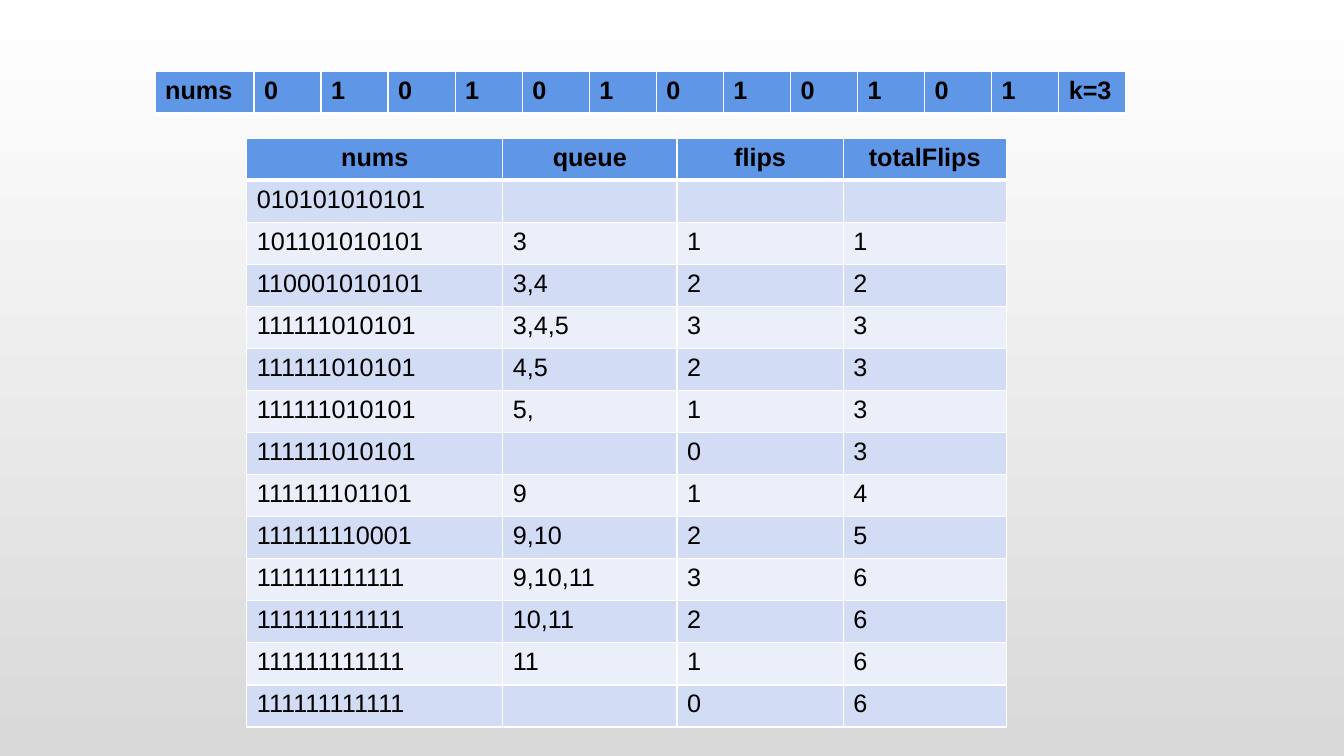
import pptx
import pptx.dml.color
import pptx.enum.text
import pptx.oxml
import pptx.oxml.ns
import pptx.util

Cm = pptx.util.Cm
ROW_HEIGHT = 1.06
HEADER_FILL = "6096E6"
BAND_FILLS = ["D2DDF5", "EAEFFA"]
HEADINGS = ["nums", "queue", "flips", "totalFlips"]
STEPS = [
    ["010101010101", "", "", ""],
    ["101101010101", "3", "1", "1"],
    ["110001010101", "3,4", "2", "2"],
    ["111111010101", "3,4,5", "3", "3"],
    ["111111010101", "4,5", "2", "3"],
    ["111111010101", "5,", "1", "3"],
    ["111111010101", "", "0", "3"],
    ["111111101101", "9", "1", "4"],
    ["111111110001", "9,10", "2", "5"],
    ["111111111111", "9,10,11", "3", "6"],
    ["111111111111", "10,11", "2", "6"],
    ["111111111111", "11", "1", "6"],
    ["111111111111", "", "0", "6"],
]


def color(hex_string):
    """Turn a hex string into a colour."""
    return pptx.dml.color.RGBColor.from_string(hex_string)


def add_borders(cell, bottom_width):
    """Give a cell white borders, one point wide except at the bottom."""
    properties = cell._tc.get_or_add_tcPr()
    for side, width in [("L", 1), ("R", 1), ("T", 1), ("B", bottom_width)]:
        properties.append(pptx.oxml.parse_xml(
            f'<a:ln{side} {pptx.oxml.ns.nsdecls("a")} w="{pptx.util.Pt(width)}">'
            f'<a:solidFill><a:srgbClr val="FFFFFF"/></a:solidFill></a:ln{side}>'))


def fill_cell(cell, text, fill, header=False, centered=False):
    """Write and style one table cell."""
    add_borders(cell, 3 if header else 1)
    cell.fill.solid()
    cell.fill.fore_color.rgb = color(fill)
    paragraph = cell.text_frame.paragraphs[0]
    if centered:
        paragraph.alignment = pptx.enum.text.PP_ALIGN.CENTER
    if text:
        run = paragraph.add_run()
        run.text = text
        run.font.name = "Arial"
        run.font.size = pptx.util.Pt(18)
        run.font.bold = header
        run.font.color.rgb = color("000000")


def add_grid(slide, left, top, widths, row_count):
    """Add an empty table with the given column widths in centimetres."""
    grid = slide.shapes.add_table(
        row_count, len(widths), Cm(left), Cm(top),
        Cm(sum(widths)), Cm(ROW_HEIGHT * row_count)).table
    for column, width in zip(grid.columns, widths):
        column.width = Cm(width)
    for row in grid.rows:
        row.height = Cm(ROW_HEIGHT)
    return grid


def add_input_strip(slide, left, top):
    """Show the input bits and k in a single row."""
    entries = ["nums", *"01" * 6, "k=3"]
    widths = [2.49] + [1.69] * (len(entries) - 1)
    strip = add_grid(slide, left, top, widths, 1)
    for index, entry in enumerate(entries):
        fill_cell(strip.cell(0, index), entry, HEADER_FILL, header=True)


def add_flip_trace(slide, left, top):
    """Show the queue and flip counts after every step."""
    trace = add_grid(slide, left, top, [6.45, 4.39, 4.19, 4.11], len(STEPS) + 1)
    for index, heading in enumerate(HEADINGS):
        fill_cell(trace.cell(0, index), heading, HEADER_FILL, header=True, centered=True)
    for number, step in enumerate(STEPS):
        for index, value in enumerate(step):
            fill_cell(trace.cell(number + 1, index), value, BAND_FILLS[number % 2])


def paint_background(slide):
    """Fade the slide from white at the top to grey at the bottom."""
    backdrop = slide.background.fill
    backdrop.gradient()
    backdrop.gradient_angle = 270
    for stop, shade, position in zip(backdrop.gradient_stops, ["FFFFFF", "D9D9D9"], [0, 1]):
        stop.color.rgb = color(shade)
        stop.position = position


def main():
    """Build and save the presentation."""
    presentation = pptx.Presentation()
    presentation.slide_width = Cm(33.87)
    presentation.slide_height = Cm(19.05)
    slide = presentation.slides.add_slide(presentation.slide_layouts[6])
    paint_background(slide)
    add_input_strip(slide, 3.91, 1.8)
    add_flip_trace(slide, 6.22, 3.48)
    presentation.save("out.pptx")


if __name__ == "__main__":
    main()
